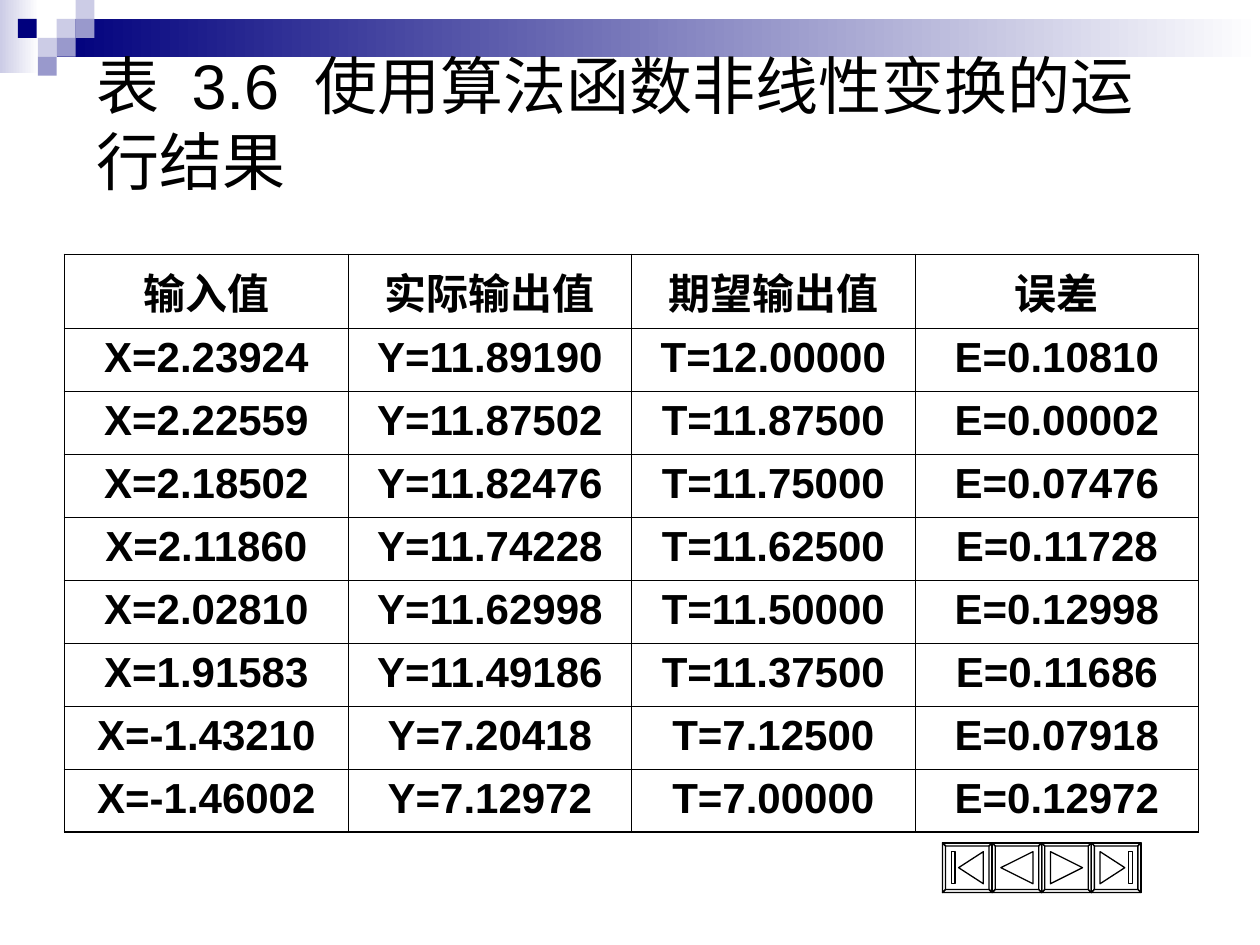
import pptx
import pptx.util
import pptx.dml.color
import pptx.enum.shapes
import pptx.enum.text
import pptx.oxml
import pptx.oxml.ns
from lxml import etree

Pt = pptx.util.Pt
RGB = pptx.dml.color.RGBColor.from_string

# Content
TITLE = ["表", " ", "3.6", " ", "使用算法函数非线性变换的运行结果"]
ROWS = [
    ("输入值", "实际输出值", "期望输出值", "误差"),
    ("X=2.23924", "Y=11.89190", "T=12.00000", "E=0.10810"),
    ("X=2.22559", "Y=11.87502", "T=11.87500", "E=0.00002"),
    ("X=2.18502", "Y=11.82476", "T=11.75000", "E=0.07476"),
    ("X=2.11860", "Y=11.74228", "T=11.62500", "E=0.11728"),
    ("X=2.02810", "Y=11.62998", "T=11.50000", "E=0.12998"),
    ("X=1.91583", "Y=11.49186", "T=11.37500", "E=0.11686"),
    ("X=-1.43210", "Y=7.20418", "T=7.12500", "E=0.07918"),
    ("X=-1.46002", "Y=7.12972", "T=7.00000", "E=0.12972"),
]

THEME = {
    "font": "Arial", "title": 36, "cell": 24, "gap": 10,
    "ink": "000000", "paper": "FFFFFF",
    "navy": "00007D", "mid": "9999CC", "pale": "CCCCE6",
    "outer": 1.08, "inner": 0.45, "button": 0.75,
}

# Header decoration: left, top, width, height, colour
BANDS = [(0, 0, 22.3, 41.8, "pale"), (32.4, 10.8, 687.6, 21.6, "navy")]
TILE = 10.8
TILES = [
    (32.4, 10.8, "pale"), (43.2, 0, "pale"), (43.2, 10.8, "mid"),
    (21.6, 21.6, "pale"), (10.2, 10.8, "navy"),
    (32.4, 21.6, "mid"), (21.6, 32.4, "mid"),
]

# Navigation buttons: icon outlines inside a square, and whether they are mirrored
BUTTON, BEVEL = 28.35, 1.75
BUTTONS_LEFT, BUTTONS_TOP = 538.6, 481.7
MID = BUTTON / 2
LOW, HIGH = 5, BUTTON - 5
TO_FIRST = [[(9.2, MID), (HIGH, LOW), (HIGH, HIGH)],
            [(LOW, LOW), (7.2, LOW), (7.2, HIGH), (LOW, HIGH)]]
TO_PREVIOUS = [[(LOW, MID), (HIGH, LOW), (HIGH, HIGH)]]
BUTTONS = [(TO_FIRST, False), (TO_PREVIOUS, False),
           (TO_PREVIOUS, True), (TO_FIRST, True)]


def style_run(r, size, bold=False):
    r.font.name = THEME["font"]
    r.font.size = Pt(size)
    r.font.bold = bold
    r.font.color.rgb = RGB(THEME["ink"])


def add_rect(s, left, top, width, height, color, fade=False):
    sp = s.shapes.add_shape(pptx.enum.shapes.MSO_SHAPE.RECTANGLE,
                            Pt(left), Pt(top), Pt(width), Pt(height))
    sp.shadow.inherit = False
    sp.line.fill.background()
    if fade:
        sp.fill.gradient()
        sp.fill.gradient_angle = 0
        for stop, position, name in zip(sp.fill.gradient_stops, (0, 1), (color, "paper")):
            stop.position = position
            stop.color.rgb = RGB(THEME[name])
    else:
        sp.fill.solid()
        sp.fill.fore_color.rgb = RGB(THEME[color])


def add_button(s, left, icon, mirrored):
    outer = [(0, 0), (BUTTON, 0), (BUTTON, BUTTON), (0, BUTTON)]
    inner = [(min(max(x, BEVEL), BUTTON - BEVEL), min(max(y, BEVEL), BUTTON - BEVEL))
             for x, y in outer]
    bevels = [[outer[i], outer[(i + 1) % 4], inner[(i + 1) % 4], inner[i]] for i in range(4)]
    if mirrored:
        icon = [[(BUTTON - x, y) for x, y in outline] for outline in icon]
    builder = None
    for outline in [outer] + bevels + icon:
        points = [(Pt(left + x), Pt(BUTTONS_TOP + y)) for x, y in outline]
        if builder is None:
            builder = s.shapes.build_freeform(*points[0])
        else:
            builder.move_to(*points[0])
        builder.add_line_segments(points[1:], close=True)
    sp = builder.convert_to_shape()
    sp.shadow.inherit = False
    sp.fill.solid()
    sp.fill.fore_color.rgb = RGB(THEME["paper"])
    sp.line.color.rgb = RGB(THEME["ink"])
    sp.line.width = Pt(THEME["button"])


def set_borders(cell, widths):
    tcPr = cell._tc.get_or_add_tcPr()
    qn = pptx.oxml.ns.qn
    for i, (side, width) in enumerate(widths.items()):
        ln = etree.Element(qn("a:ln" + side), w=str(int(Pt(width))))
        fill = etree.SubElement(ln, qn("a:solidFill"))
        etree.SubElement(fill, qn("a:srgbClr"), val=THEME["ink"])
        tcPr.insert(i, ln)


def add_results(s):
    n_rows, n_cols = len(ROWS), len(ROWS[0])
    table = s.shapes.add_table(n_rows, n_cols, Pt(36.9), Pt(145.4),
                               Pt(162 * n_cols), Pt(36 * n_rows)).table
    table.first_row = table.horz_banding = False
    for i, row in enumerate(ROWS):
        for j, text in enumerate(row):
            cell = table.cell(i, j)
            cell.fill.background()
            cell.text_frame.text = text
            p = cell.text_frame.paragraphs[0]
            p.alignment = pptx.enum.text.PP_ALIGN.CENTER
            style_run(p.runs[0], THEME["cell"], bold=True)
            edges = {"L": j == 0, "R": j == n_cols - 1, "T": i == 0, "B": i == n_rows - 1}
            set_borders(cell, {side: THEME["outer" if edge else "inner"]
                               for side, edge in edges.items()})


def add_title(s):
    title = s.shapes.title
    title.left, title.top, title.width, title.height = Pt(48.2), Pt(54.7), Pt(617.8), Pt(30.2)
    tf = title.text_frame
    tf.word_wrap = True
    tf.auto_size = pptx.enum.text.MSO_AUTO_SIZE.NONE
    tf.vertical_anchor = pptx.enum.text.MSO_ANCHOR.MIDDLE
    p = tf.paragraphs[0]
    p.alignment = pptx.enum.text.PP_ALIGN.LEFT
    for text in TITLE:
        r = p.add_run()
        r.text = text
        style_run(r, THEME["title"])
        if text == " ":  # widen the gaps around the table number
            r.font._element.set("spc", str(THEME["gap"] * 100))
    # Bring the title in front of the decoration
    title.element.getparent().append(title.element)


def main():
    prs = pptx.Presentation()
    prs.slide_width, prs.slide_height = Pt(720), Pt(540)
    s = prs.slides.add_slide(prs.slide_layouts[5])
    # Header decoration
    for left, top, width, height, color in BANDS:
        add_rect(s, left, top, width, height, color, fade=True)
    for left, top, color in TILES:
        add_rect(s, left, top, TILE, TILE, color)
    # Navigation buttons
    for i, (icon, mirrored) in enumerate(BUTTONS):
        add_button(s, BUTTONS_LEFT + i * BUTTON, icon, mirrored)
    # Title and table
    add_title(s)
    add_results(s)
    prs.save("out.pptx")


if __name__ == "__main__":
    main()
